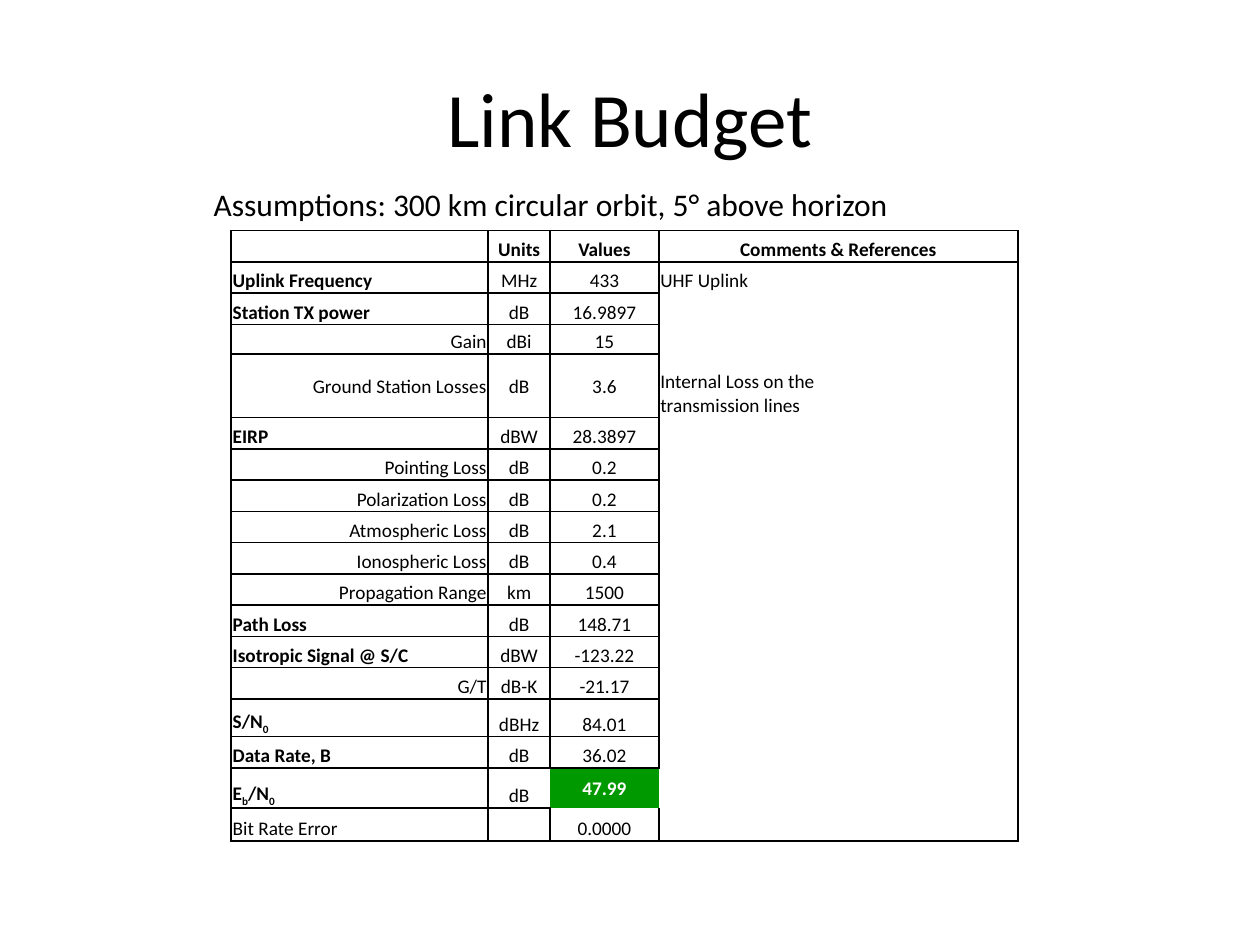
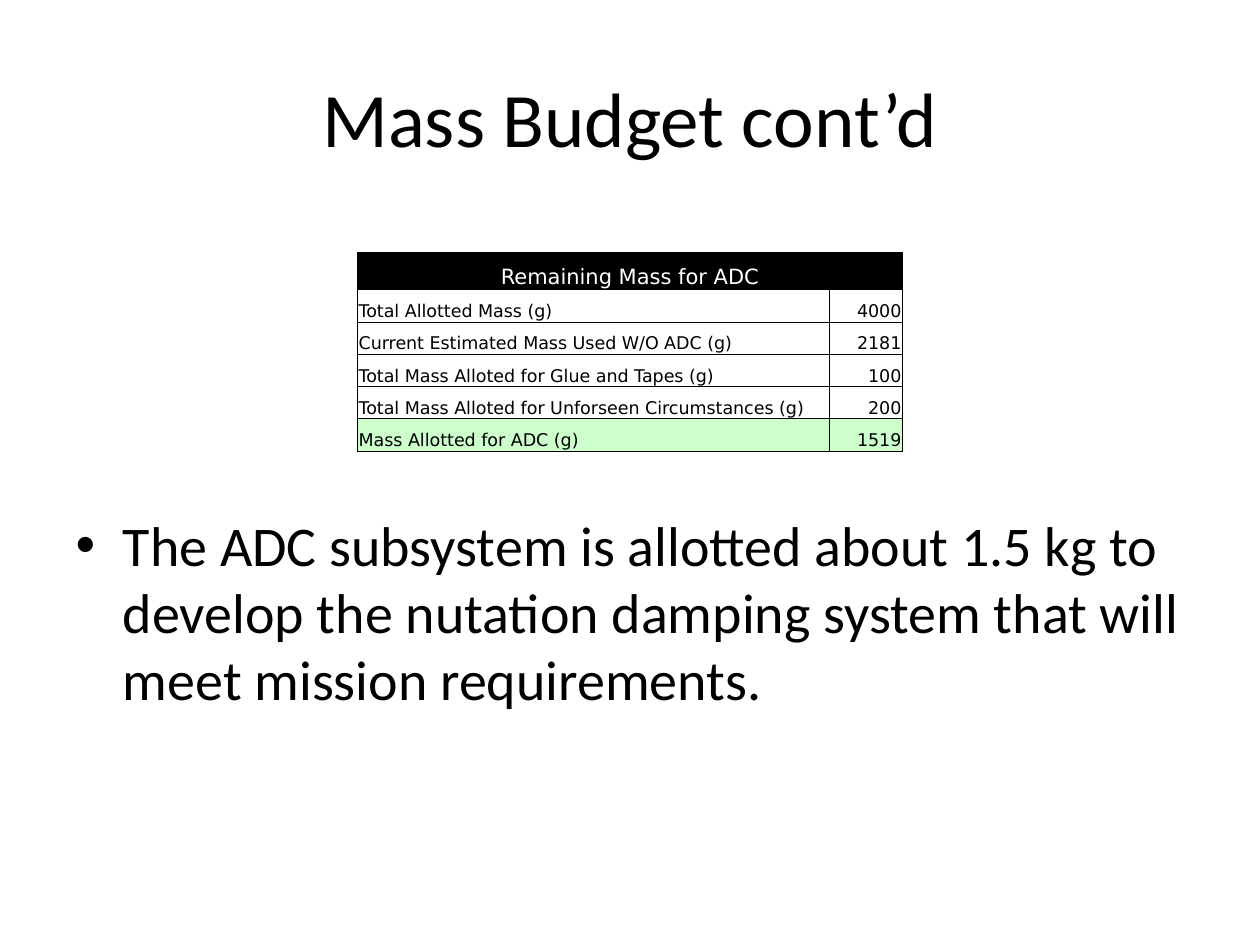
"""Build the link budget and mass budget slides."""
from dataclasses import dataclass
from typing import Any

from lxml.etree import SubElement
from pptx import Presentation
from pptx.dml.color import RGBColor as Rgb
from pptx.enum.text import MSO_ANCHOR as Anchor, PP_ALIGN as Align
from pptx.oxml.ns import qn
from pptx.util import Cm, Pt


@dataclass(frozen=True)
class Theme:
    ink: str = "000000"
    paper: str = "FFFFFF"
    result: str = "009900"
    remainder: str = "CCFFCC"
    font: str = "Calibri"
    sheet_font: str = "DejaVu Sans"
    title: float = 44
    body: float = 32
    note: float = 18
    link_cell: float = 11
    mass_header: float = 12
    mass_cell: float = 10


@dataclass(frozen=True)
class Box:
    left: float
    top: float
    width: float
    height: float

    def lengths(self) -> tuple:
        return Cm(self.left), Cm(self.top), Cm(self.width), Cm(self.height)


@dataclass(frozen=True)
class TextStyle:
    size: float
    font: str
    color: str
    bold: bool = False
    align: Any = Align.LEFT


@dataclass(frozen=True)
class CellStyle:
    text: TextStyle
    borders: dict
    fill: str | None = None
    anchor: Any = Anchor.BOTTOM


@dataclass(frozen=True)
class LinkRow:
    label: str
    unit: str
    value: str
    comment: str = ""
    height: float = 0.63
    main: bool = False


THEME = Theme()
TITLE_BOX = Box(1.27, 0.76, 22.86, 3.18)
NOTE_BOX = Box(2.75, 3.61, 16.71, 1.02)
BODY_BOX = Box(1.27, 10.16, 22.86, 6.86)
LINK_ORIGIN = (4.66, 4.65)
LINK_WIDTHS = (5.18, 1.25, 2.19, 4.34, 2.9)
MASS_ORIGIN = (7.2, 5.08)
MASS_WIDTHS = (9.52, 1.48)
CELL_MARGINS = {"margin_left": Cm(0.03), "margin_right": Cm(0.03),
                "margin_top": Cm(0.03), "margin_bottom": 0}

LINK_ROWS = (
    LinkRow("", "Units", "Values", "Comments & References", main=True),
    LinkRow("Uplink Frequency", "MHz", "433", "UHF Uplink", main=True),
    LinkRow("Station TX power", "dB", "16.9897", main=True),
    LinkRow("Gain", "dBi", "15", height=0.6),
    LinkRow("Ground Station Losses", "dB", "3.6",
            "Internal Loss on the transmission lines", height=1.28),
    LinkRow("EIRP", "dBW", "28.3897", main=True),
    LinkRow("Pointing Loss", "dB", "0.2"),
    LinkRow("Polarization Loss", "dB", "0.2"),
    LinkRow("Atmospheric Loss", "dB", "2.1"),
    LinkRow("Ionospheric Loss", "dB", "0.4"),
    LinkRow("Propagation Range", "km", "1500"),
    LinkRow("Path Loss", "dB", "148.71", main=True),
    LinkRow("Isotropic Signal @ S/C", "dBW", "-123.22", main=True),
    LinkRow("G/T", "dB-K", "-21.17"),
    LinkRow("S/N_0", "dBHz", "84.01", height=0.76, main=True),
    LinkRow("Data Rate, B", "dB", "36.02", main=True),
    LinkRow("E_b/N_0", "dB", "47.99", height=0.81, main=True),
    LinkRow("Bit Rate Error", "", "0.0000", height=0.66),
)
RESULT_ROW = len(LINK_ROWS) - 2
LAST_ROW = len(LINK_ROWS) - 1

MASS_ROWS = (
    ("Remaining Mass for ADC", ""),
    ("Total Allotted Mass (g)", "4000"),
    ("Current Estimated Mass Used W/O ADC (g)", "2181"),
    ("Total Mass Alloted for Glue and Tapes (g)", "100"),
    ("Total Mass Alloted for Unforseen Circumstances (g)", "200"),
    ("Mass Allotted for ADC (g)", "1519"),
)


def set_values(target: Any, values: dict) -> None:
    """Set each named attribute on the target."""
    for name, value in values.items():
        setattr(target, name, value)


def add_text(paragraph: Any, text: str, style: TextStyle) -> None:
    """Add styled runs, lowering the character after each underscore."""
    paragraph.alignment = style.align
    first, *lowered = text.split("_")
    pieces = [(first, False)]
    for part in lowered:
        pieces += [(part[0], True), (part[1:], False)]
    for piece, is_subscript in pieces:
        if not piece:
            continue
        run = paragraph.add_run()
        run.text = piece
        set_values(run.font, {"size": Pt(style.size), "name": style.font, "bold": style.bold})
        run.font.color.rgb = Rgb.from_string(style.color)
        if is_subscript:
            run.font._element.set("baseline", "-25000")
    if not text:
        SubElement(paragraph._p, qn("a:endParaRPr"), sz=str(int(style.size * 100)))


def set_borders(cell: Any, borders: dict) -> None:
    """Draw the listed sides and hide the others."""
    properties = cell._tc.get_or_add_tcPr()
    for side in "LRTB":
        line = SubElement(properties, qn(f"a:ln{side}"), w=str(Pt(borders.get(side, 0))))
        if side in borders:
            fill = SubElement(line, qn("a:solidFill"))
            SubElement(fill, qn("a:srgbClr"), val=THEME.ink)
        else:
            SubElement(line, qn("a:noFill"))


def fill_cell(cell: Any, text: str, style: CellStyle) -> None:
    """Write one table cell with its borders and fill."""
    set_values(cell, {**CELL_MARGINS, "vertical_anchor": style.anchor})
    add_text(cell.text_frame.paragraphs[0], text, style.text)
    set_borders(cell, style.borders)
    if style.fill:
        cell.fill.solid()
        cell.fill.fore_color.rgb = Rgb.from_string(style.fill)
    else:
        cell.fill.background()


def add_grid(slide: Any, origin: tuple, widths: tuple, heights: list) -> Any:
    """Add a table without banding, sized by its columns and rows."""
    box = Box(*origin, sum(widths), sum(heights))
    table = slide.shapes.add_table(len(heights), len(widths), *box.lengths()).table
    set_values(table, {"first_row": False, "horz_banding": False})
    for column, width in zip(table.columns, widths):
        column.width = Cm(width)
    for row, height in zip(table.rows, heights):
        row.height = Cm(height)
    return table


def place_text(shape: Any, box: Box, text: str, style: TextStyle) -> None:
    """Move a text shape and write its only paragraph."""
    set_values(shape, dict(zip(("left", "top", "width", "height"), box.lengths())))
    shape.text_frame.word_wrap = True
    paragraph = shape.text_frame.paragraphs[0]
    paragraph.space_before = 0
    add_text(paragraph, text, style)


def add_titled_slide(presentation: Any, layout: int, title: str) -> Any:
    """Add a slide with the shared title style."""
    slide = presentation.slides.add_slide(presentation.slide_layouts[layout])
    style = TextStyle(THEME.title, THEME.font, THEME.ink, align=Align.CENTER)
    place_text(slide.shapes.title, TITLE_BOX, title, style)
    return slide


def link_borders(row: int, column: int) -> dict:
    """Return the bordered sides of a link budget cell."""
    if row == 0:
        sides = "LRTB"
    elif column > 2:
        sides = "R" if column == 4 else "" if row == RESULT_ROW else "L"
        sides += ("T" if row == 1 else "") + ("B" if row == LAST_ROW else "")
    else:
        exceptions = {(RESULT_ROW, 1): "LTB", (RESULT_ROW, 2): "T", (LAST_ROW, 2): "LRB"}
        sides = exceptions.get((row, column), "LRTB")
    borders = {side: 1.0 for side in sides}
    if column == 2 and row in (RESULT_ROW - 1, RESULT_ROW):
        borders["B" if row < RESULT_ROW else "T"] = 1.5
    return borders


def link_style(row: int, column: int) -> CellStyle:
    """Return the style of a link budget cell."""
    entry = LINK_ROWS[row]
    is_result = (row, column) == (RESULT_ROW, 2)
    if column in (1, 2) or row == 0:
        align = Align.CENTER
    elif column == 0 and not entry.main and row != LAST_ROW:
        align = Align.RIGHT
    else:
        align = Align.LEFT
    bold = row == 0 or is_result or (column == 0 and entry.main)
    color = THEME.paper if is_result else THEME.ink
    is_middle = is_result or (column < 3 and entry.height > 1)
    return CellStyle(
        TextStyle(THEME.link_cell, THEME.font, color, bold, align),
        link_borders(row, column),
        THEME.result if is_result else None,
        Anchor.MIDDLE if is_middle else Anchor.BOTTOM,
    )


def build_link_slide(presentation: Any) -> None:
    """Build the link budget slide."""
    slide = add_titled_slide(presentation, 5, "Link Budget")
    table = add_grid(slide, LINK_ORIGIN, LINK_WIDTHS, [entry.height for entry in LINK_ROWS])
    for row, entry in enumerate(LINK_ROWS):
        texts = (entry.label, entry.unit, entry.value, entry.comment, "")
        for column, text in enumerate(texts):
            fill_cell(table.cell(row, column), text, link_style(row, column))
    table.cell(0, 3).merge(table.cell(0, 4))
    note = slide.shapes.add_textbox(*NOTE_BOX.lengths())
    place_text(note, NOTE_BOX, "Assumptions: 300 km circular orbit, 5° above horizon",
               TextStyle(THEME.note, THEME.font, THEME.ink, align=Align.CENTER))


def build_mass_slide(presentation: Any) -> None:
    """Build the mass budget slide."""
    slide = add_titled_slide(presentation, 1, "Mass Budget cont’d")
    heights = [0.76] + [0.65] * (len(MASS_ROWS) - 1)
    table = add_grid(slide, MASS_ORIGIN, MASS_WIDTHS, heights)
    borders = dict.fromkeys("LRTB", 0.5)
    header = TextStyle(THEME.mass_header, THEME.sheet_font, THEME.paper, align=Align.CENTER)
    fills = {0: THEME.ink, len(MASS_ROWS) - 1: THEME.remainder}
    for row, texts in enumerate(MASS_ROWS):
        for column, (text, align) in enumerate(zip(texts, (Align.LEFT, Align.RIGHT))):
            entry = TextStyle(THEME.mass_cell, THEME.sheet_font, THEME.ink, align=align)
            style = CellStyle(entry if row else header, borders, fills.get(row))
            fill_cell(table.cell(row, column), text, style)
    table.cell(0, 0).merge(table.cell(0, 1))
    place_text(slide.placeholders[1], BODY_BOX,
               "The ADC subsystem is allotted about 1.5 kg to develop the nutation "
               "damping system that will meet mission requirements.",
               TextStyle(THEME.body, THEME.font, THEME.ink))


def main() -> None:
    """Build and save the presentation."""
    presentation = Presentation()
    set_values(presentation, {"slide_width": Cm(25.4), "slide_height": Cm(19.05)})
    build_link_slide(presentation)
    build_mass_slide(presentation)
    presentation.save("out.pptx")


if __name__ == "__main__":
    main()
